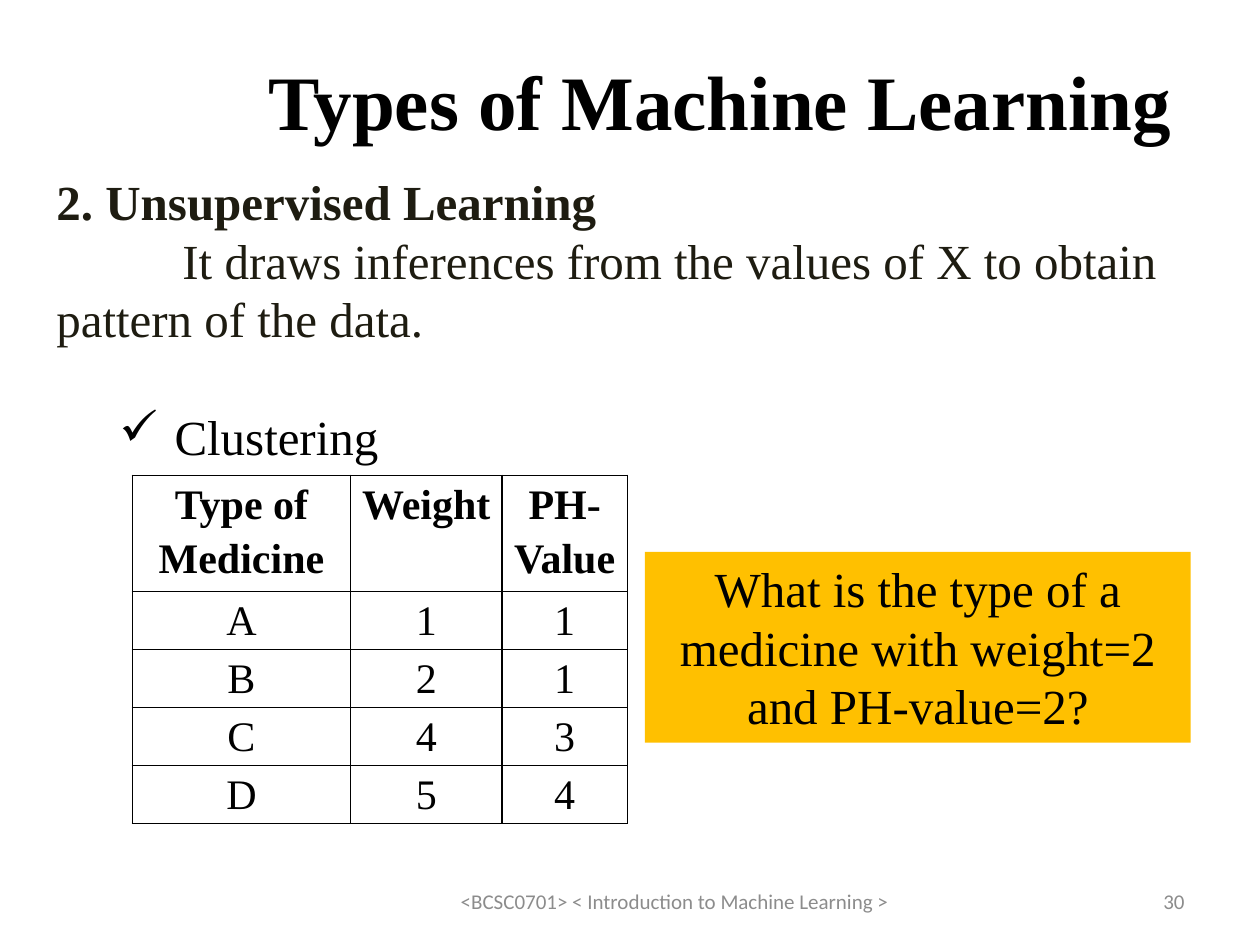
from pptx import Presentation
from pptx import util as u
from pptx.dml.color import RGBColor
from pptx.enum import shapes, text
from pptx.oxml import parse_xml
from pptx.oxml.ns import nsdecls

COLORS = {"ink": "000000", "body": "1E1C11", "muted": "8C8C8C", "accent": "FFC000"}
SERIF, SANS = "Times New Roman", "Calibri"
ALIGN, ANCHOR = text.PP_ALIGN, text.MSO_ANCHOR

TITLE = {"text": "Types of Machine Learning", "size": 44, "bold": True, "align": ALIGN.CENTER}
BODY = [
    {"text": "2. Unsupervised Learning", "size": 28, "bold": True, "color": "body"},
    {"text": "It draws inferences from the values of X to obtain pattern of the data.",
     "size": 28, "color": "body", "indent": 72},
    {"text": "Clustering", "size": 28, "margin": 67.5, "indent": -31.5,
     "bullet": "✓", "before": 33.5},
]
QUESTION = {"text": "What is the type of a medicine with weight=2 and PH-value=2?",
            "size": 28, "align": ALIGN.CENTER}
FOOTER = {"text": "<BCSC0701> < Introduction to Machine Learning >", "size": 12,
          "font": SANS, "color": "muted", "align": ALIGN.CENTER}
NUMBER = {**FOOTER, "text": "30", "align": ALIGN.RIGHT}

TEXT_BOXES = [
    ((139, 5.8, 545, 102), ANCHOR.MIDDLE, [TITLE]),
    ((25.2, 94.3, 666.7, 177), ANCHOR.TOP, BODY),
    ((246, 500.5, 279, 28.8), ANCHOR.MIDDLE, [FOOTER]),
    ((516, 500.5, 168, 28.8), ANCHOR.MIDDLE, [NUMBER]),
]
MEDICINES = [
    ("Type of Medicine", "Weight", "PH-Value"),
    ("A", "1", "1"),
    ("B", "2", "1"),
    ("C", "4", "3"),
    ("D", "5", "4"),
]
TABLE_LEFT, TABLE_TOP = 75.6, 271.7
COLUMN_WIDTHS = [124.8, 86.4, 71.8]
ROW_HEIGHTS = [66.3] + [33.15] * 4


def rgb(name):
    return RGBColor.from_string(COLORS[name])


def points(values):
    return [u.Pt(value) for value in values]


def apply(target, values):
    for name, value in values.items():
        setattr(target, name, value)


def write(frame, items):
    frame.word_wrap = True
    for index, item in enumerate(items):
        para = frame.paragraphs[0] if index == 0 else frame.add_paragraph()
        properties = para._p.get_or_add_pPr()
        properties.set("marL", str(u.Pt(item.get("margin", 0))))
        properties.set("indent", str(u.Pt(item.get("indent", 0))))
        if "bullet" in item:
            properties.append(parse_xml(f'<a:buChar {nsdecls("a")} char="{item["bullet"]}"/>'))
        apply(para, {
            "alignment": item.get("align", ALIGN.LEFT),
            "line_spacing": item.get("spacing", 1.0),
            "space_before": u.Pt(item.get("before", 0)),
        })
        span = para.add_run()
        span.text = item["text"]
        apply(span.font, {
            "name": item.get("font", SERIF),
            "size": u.Pt(item["size"]),
            "bold": item.get("bold", False),
        })
        span.font.color.rgb = rgb(item.get("color", "ink"))


def add_borders(cell):
    properties = cell._tc.get_or_add_tcPr()
    for side in "LRTB":
        properties.append(parse_xml(
            f'<a:ln{side} {nsdecls("a")} w="{u.Pt(1)}"><a:solidFill>'
            f'<a:srgbClr val="{COLORS["ink"]}"/></a:solidFill></a:ln{side}>'))


def add_medicine_table(page):
    place = points((TABLE_LEFT, TABLE_TOP, sum(COLUMN_WIDTHS), sum(ROW_HEIGHTS)))
    table = page.shapes.add_table(len(MEDICINES), len(COLUMN_WIDTHS), *place).table
    for column, width in zip(table.columns, COLUMN_WIDTHS):
        column.width = u.Pt(width)
    for row, height, labels in zip(table.rows, ROW_HEIGHTS, MEDICINES):
        row.height = u.Pt(height)
        for cell, label in zip(row.cells, labels):
            apply(cell, {"margin_left": u.Pt(5), "margin_right": u.Pt(5),
                         "margin_top": 0, "margin_bottom": 0})
            add_borders(cell)
            cell.fill.background()
            write(cell.text_frame, [{"text": label, "size": 24, "spacing": 1.15,
                                     "bold": labels is MEDICINES[0], "align": ALIGN.CENTER}])


def add_question(page):
    box = page.shapes.add_shape(shapes.MSO_SHAPE.RECTANGLE, *points((368.6, 315.4, 311.8, 109)))
    box.shadow.inherit = False
    box.fill.solid()
    box.fill.fore_color.rgb = rgb("accent")
    box.line.fill.background()
    box.text_frame.vertical_anchor = ANCHOR.TOP
    write(box.text_frame, [QUESTION])


def main():
    deck = Presentation()
    apply(deck, {"slide_width": u.Pt(720), "slide_height": u.Pt(540)})
    page = deck.slides.add_slide(deck.slide_layouts[6])
    for place, anchor, items in TEXT_BOXES:
        frame = page.shapes.add_textbox(*points(place)).text_frame
        frame.vertical_anchor = anchor
        write(frame, items)
    add_medicine_table(page)
    add_question(page)
    deck.save("out.pptx")


if __name__ == "__main__":
    main()
